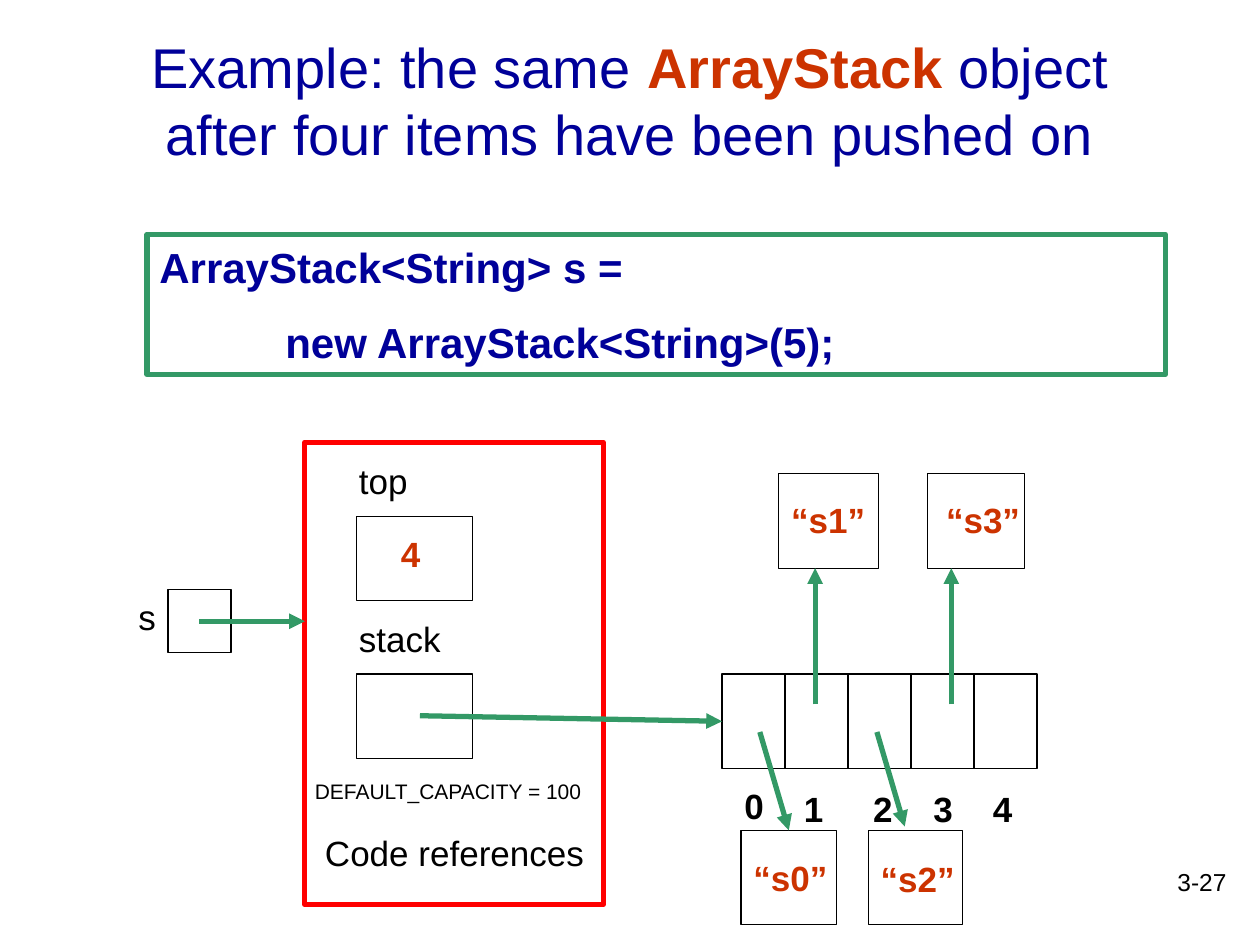
from dataclasses import dataclass

from lxml import etree
from pptx import Presentation
from pptx.dml.color import RGBColor
from pptx.enum import shapes, text
from pptx.oxml import ns
from pptx.util import Pt


@dataclass(frozen=True)
class Theme:
    font: str = "Arial"
    ink: str = "000000"
    navy: str = "000099"
    rust: str = "CC3300"
    green: str = "339966"
    red: str = "FF0000"
    title: float = 32
    code: float = 24
    label: float = 20
    number: float = 14
    small: float = 12
    thin: float = 0.75
    thick: float = 3


THEME = Theme()


def style(font, size, color, bold=False):
    font.name, font.size, font.bold = THEME.font, Pt(size), bold
    font.color.rgb = RGBColor.from_string(color)


def add_box(slide, left, top, width, height, color=THEME.ink, weight=THEME.thin):
    """Unfilled, outlined rectangle."""
    box = slide.shapes.add_shape(shapes.MSO_SHAPE.RECTANGLE,
                                 Pt(left), Pt(top), Pt(width), Pt(height))
    box.shadow.inherit = False
    box.fill.background()
    box.line.color.rgb = RGBColor.from_string(color)
    box.line.width = Pt(weight)
    return box


def add_label(slide, words, left, top, width, height=31, size=THEME.label,
              color=THEME.ink, bold=False, align=text.PP_ALIGN.LEFT):
    label = slide.shapes.add_textbox(Pt(left), Pt(top), Pt(width), Pt(height))
    label.text_frame.word_wrap = True
    paragraph = label.text_frame.paragraphs[0]
    paragraph.text = words
    paragraph.alignment = align
    style(paragraph.font, size, color, bold)


def add_arrow(slide, start, end, target=None, side=0):
    """Green arrow, joined to the middle of a side of target if one is given."""
    arrow = slide.shapes.add_connector(shapes.MSO_CONNECTOR.STRAIGHT,
                                       *(Pt(v) for v in (*start, *end)))
    if target is not None:
        arrow.end_connect(target, side)
    arrow.line.color.rgb = RGBColor.from_string(THEME.green)
    arrow.line.width = Pt(THEME.thick)
    etree.SubElement(arrow.line._get_or_add_ln(), ns.qn("a:tailEnd"), type="triangle")
    etree.SubElement(arrow._element.spPr, ns.qn("a:effectLst"))


def add_title(slide):
    title = slide.shapes.add_textbox(Pt(54), Pt(12), Pt(612), Pt(90))
    title.text_frame.word_wrap = True
    title.text_frame.vertical_anchor = text.MSO_ANCHOR.MIDDLE
    paragraph = title.text_frame.paragraphs[0]
    paragraph.alignment = text.PP_ALIGN.CENTER
    for words, color, bold in (
            ("Example: the same ", THEME.navy, False),
            ("ArrayStack", THEME.rust, True),
            (" object after four items have been pushed on", THEME.navy, False)):
        run = paragraph.add_run()
        run.text = words
        style(run.font, THEME.title, color, bold)


def add_code(slide):
    code = add_box(slide, 84, 134, 582, 80, THEME.green, THEME.thick)
    frame = code.text_frame
    frame.word_wrap = True
    frame.vertical_anchor = text.MSO_ANCHOR.MIDDLE
    frame.text = "ArrayStack<String> s =\n\t\tnew ArrayStack<String>(5);"
    for paragraph in frame.paragraphs:
        paragraph.alignment = text.PP_ALIGN.LEFT
        style(paragraph.font, THEME.code, THEME.navy, True)
    frame.paragraphs[1].space_before = Pt(14)


def add_stack_object(slide):
    for field, top in (("top", 295.2), ("stack", 385.2)):
        add_box(slide, 203.8, top, 66.2, 48.2)
        add_label(slide, field, 198, top - 36, 96)
    add_box(slide, 174.2, 252.7, 170.6, 264.2, THEME.red, THEME.thick)
    add_label(slide, "4", 222, 301, 30, color=THEME.rust, bold=True)
    add_label(slide, "DEFAULT_CAPACITY = 100", 172.8, 441.4, 209.5, 21.6, THEME.small)
    add_label(slide, "Code references", 178.6, 471.6, 167)


def add_array(slide):
    """Draw the five cells with their indexes and return the first cell."""
    cells = [add_box(slide, 412.6 + 36 * i, 385.2, 36, 54) for i in range(5)]
    index_places = ((418.3, 445), (452.2, 446.4), (491.8, 446.4),
                    (526.3, 446.4), (560.2, 446.4))
    for index, (left, top) in enumerate(index_places):
        add_label(slide, str(index), left, top, 24, bold=True)
    return cells[0]


def add_items(slide):
    # Item, box left, top and width, label left and top, arrow start and end, joined
    items = (
        ("“s0”", 423.4, 474.5, 54.7, 423.4, 486, (434.2, 418.3), (450.7, 474.5), True),
        ("“s1”", 445, 270.7, 56.9, 445, 281.5, (465.8, 402.5), (465.8, 324.7), False),
        ("“s2”", 496.1, 474.5, 54, 496.1, 486.7, (501.1, 418.3), (517, 472.3), False),
        ("“s3”", 529.9, 270.7, 55.4, 533.5, 281.5, (543.6, 402.5), (543.6, 324.7), False),
    )
    for item, left, top, width, label_left, label_top, start, end, joined in items:
        item_box = add_box(slide, left, top, width, 54)
        add_label(slide, item, label_left, label_top, 70, color=THEME.rust, bold=True)
        add_arrow(slide, start, end, item_box if joined else None)


def main():
    deck = Presentation()
    deck.slide_width, deck.slide_height = Pt(720), Pt(540)
    slide = deck.slides.add_slide(deck.slide_layouts[6])

    # Heading and code
    add_title(slide)
    add_code(slide)

    # The object and its array
    add_stack_object(slide)
    first_cell = add_array(slide)
    add_arrow(slide, (240, 409), (412.6, 412.2), first_cell, 1)

    # The variable s
    add_label(slide, "s", 72, 337, 36)
    add_box(slide, 96, 337, 36, 36)
    add_arrow(slide, (114, 355), (174.2, 355))

    # Pushed items
    add_items(slide)

    # Slide number
    add_label(slide, "3-27", 558, 491.8, 150, 36, THEME.number,
              align=text.PP_ALIGN.RIGHT)
    deck.save("out.pptx")


if __name__ == "__main__":
    main()
